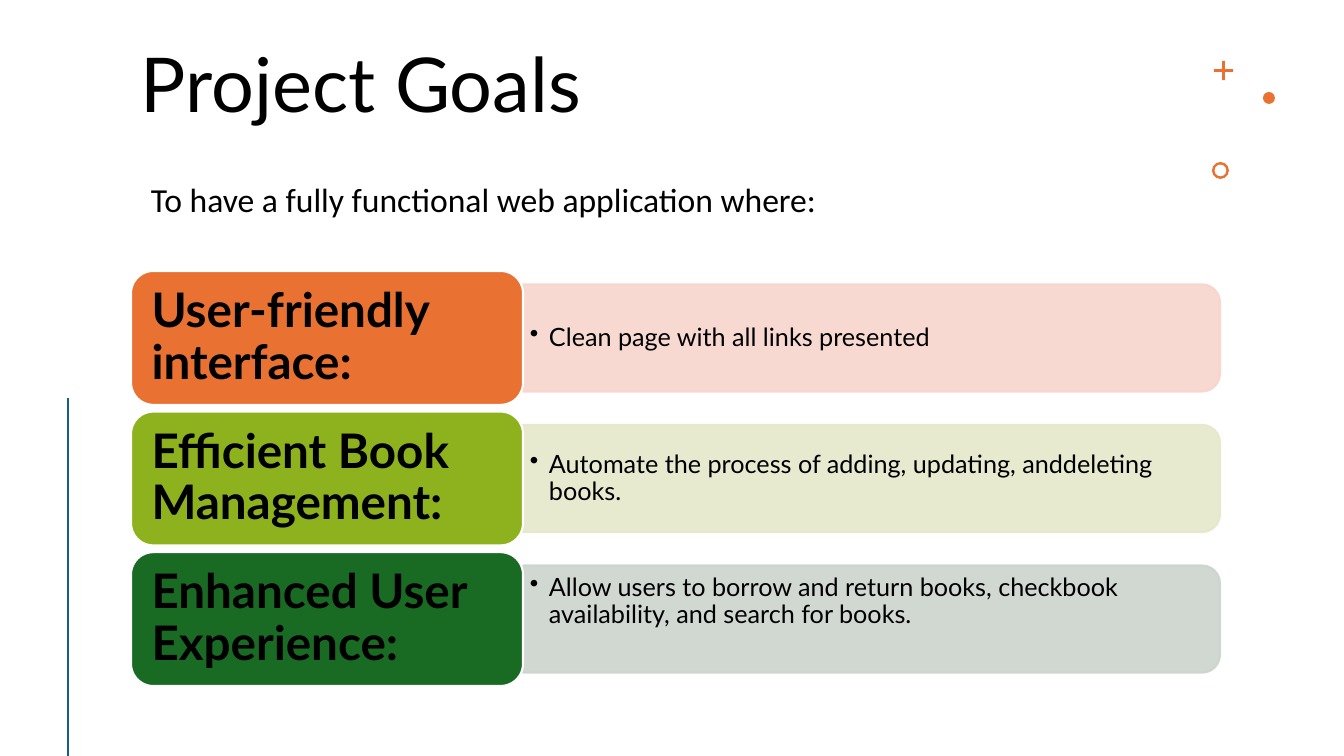
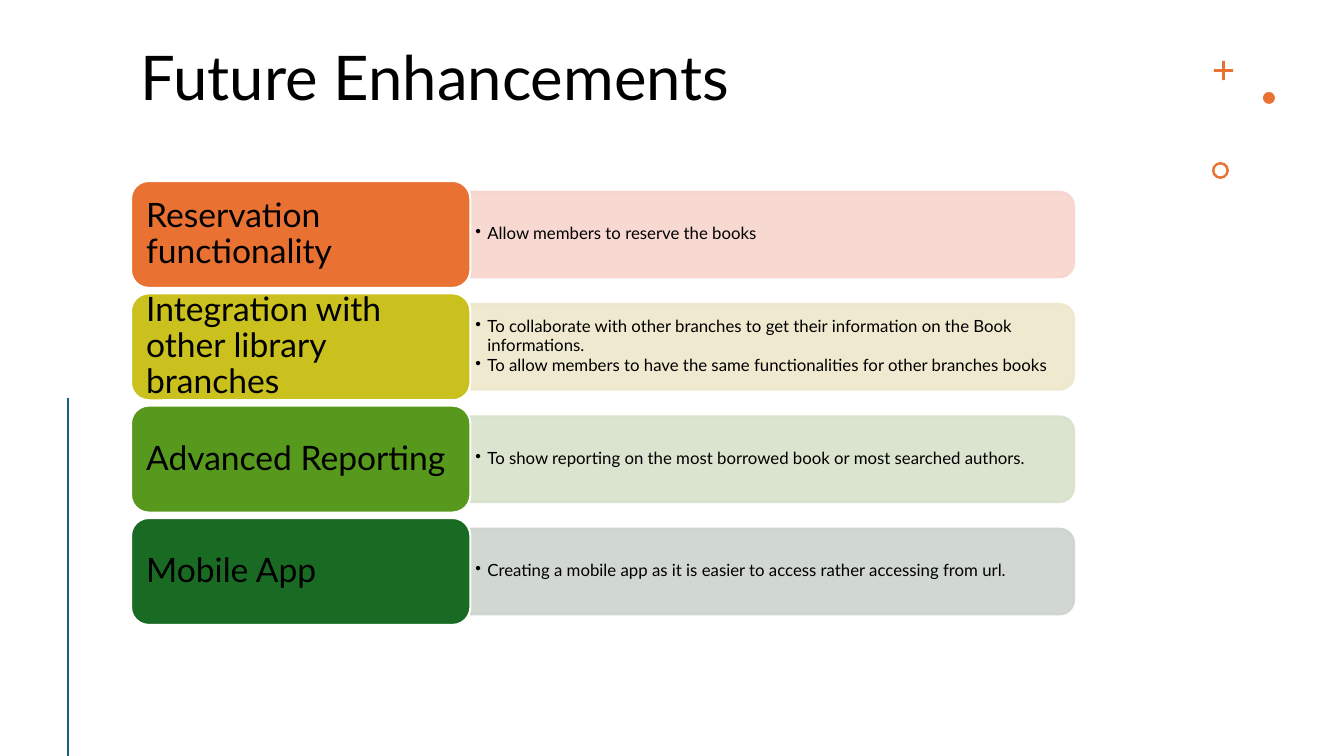
from lxml import etree
from pptx import Presentation
from pptx import util as u
from pptx.dml.color import RGBColor
from pptx.enum import shapes, text
from pptx.oxml import ns

WIDE, HIGH = 1344, 756
SCALE = 12192000 / WIDE
FONT = "Lato"
BLACK, WHITE, ACCENT, RULE = "000000", "FFFFFF", "E97132", "156082"
GREEN, MIST = "196B24", "CCD4CD"
KIND = shapes.MSO_SHAPE
MID, TOP = text.MSO_ANCHOR.MIDDLE, text.MSO_ANCHOR.TOP


def px(n):
    return u.Emu(round(n * SCALE))


def rgb(code):
    return RGBColor.from_string(code)


def fade(fmt, share):
    """Make a solid fill partly transparent."""
    color = fmt._xPr.find(".//" + ns.qn("a:srgbClr"))
    etree.SubElement(color, ns.qn("a:alpha"), val=str(share * 1000))


def shape(slide, kind, box, fill, line=None, width=1.5):
    item = slide.shapes.add_shape(kind, *map(px, box))
    item.shadow.inherit = False
    item.fill.solid()
    item.fill.fore_color.rgb = rgb(fill)
    if line:
        item.line.color.rgb = rgb(line)
        item.line.width = u.Pt(width)
    else:
        item.line.fill.background()
    return item


def say(item, lines, size, font=FONT, bold=False, anchor=TOP,
        pad=(10, 5), lead=0.9, after=0, hang=0):
    """Fill a shape with paragraphs; hang gives bullets of that indent."""
    frame = item.text_frame
    frame.word_wrap = True
    frame.vertical_anchor = anchor
    frame.margin_left = frame.margin_right = px(pad[0])
    frame.margin_top = frame.margin_bottom = px(pad[1])
    for i, line in enumerate(lines):
        para = frame.add_paragraph() if i else frame.paragraphs[0]
        para.alignment = text.PP_ALIGN.LEFT
        para.line_spacing = lead
        para.space_after = u.Pt(after)
        if hang:
            props = para._p.get_or_add_pPr()
            props.set("marL", str(px(hang)))
            props.set("indent", str(-px(hang)))
            etree.SubElement(props, ns.qn("a:buChar"), char="•")
        run = para.add_run()
        run.text = line
        run.font.name = font
        run.font.size = u.Pt(size)
        run.font.bold = bold
        run.font.color.rgb = rgb(BLACK)


def note(slide, box, lines, size, **style):
    say(slide.shapes.add_textbox(*map(px, box)), lines, size, **style)


def marks(slide, x, y):
    """Plus, dot and ring in the top right corner."""
    plus = shape(slide, KIND.CROSS, (x + 2, y, 19, 19), ACCENT)
    plus.adjustments[0] = 0.43
    shape(slide, KIND.OVAL, (x + 51, y + 31, 12, 12), ACCENT)
    ring = shape(slide, KIND.DONUT, (x, y + 101, 17, 17), ACCENT)
    ring.adjustments[0] = 0.15


def base(deck, title, size):
    """Start a slide with the shared title, marks and side rule."""
    slide = deck.slides.add_slide(deck.slide_layouts[6])
    note(slide, (131, 42, 1031, 132), [title], size)
    marks(slide, 1212, 61)
    rule = slide.shapes.add_connector(
        shapes.MSO_CONNECTOR.STRAIGHT, px(68), px(398), px(68), px(HIGH))
    rule.line.color.rgb = rgb(RULE)
    rule.line.width = u.Pt(2)
    etree.SubElement(rule._element.spPr, ns.qn("a:effectLst"))
    return slide


def panel(slide, box, tint, lines, size, anchor, pad, hang):
    """Pale bar, rounded on its right end, with bullets."""
    x, y, w, h = box
    turned = (x + (w - h) / 2, y + (h - w) / 2, h, w)
    bar = shape(slide, KIND.ROUND_2_SAME_RECTANGLE, turned, tint, tint)
    bar.rotation = 90
    fade(bar.fill, 90)
    fade(bar.line.fill, 90)
    note(slide, (x, y + 5, w - 5, h - 10), lines, size, anchor=anchor,
         pad=pad, after=size * 0.15, hang=hang)


def stack(slide, box, rows, sizes, bold, inset, pad, hang):
    """Rows of a label and its panel, spread evenly over the box."""
    x, y, w, h = box
    tall = h / (len(rows) * 1.05 - 0.05)
    head = w * 0.36
    for i, (name, fill, tint, lines, anchor) in enumerate(rows):
        top = y + i * tall * 1.05
        panel(slide, (x + head, top + tall * 0.1, w - head, tall * 0.8),
              tint, lines, sizes[1], anchor, pad, hang)
        label = shape(slide, KIND.ROUNDED_RECTANGLE, (x, top, head, tall),
                      fill, WHITE)
        say(label, [name], sizes[0], bold=bold, anchor=MID, pad=inset)


def goals(deck):
    slide = base(deck, "Project Goals", 54)
    rows = [
        ("User-friendly interface:", ACCENT, "F7D5CE",
         ["Clean page with all links presented"], MID),
        ("Efficient Book Management:", "8EB21E", "E5E8CA",
         ["Automate the process of adding, updating, anddeleting books."],
         MID),
        ("Enhanced User Experience:", GREEN, MIST,
         ["Allow users to borrow and return books, checkbook availability, "
          "and search for books."], TOP),
    ]
    stack(slide, (131, 271, 1089, 415), rows, (34, 18), True,
          (14, 7), (7, 4), 19)
    note(slide, (141, 174, 950, 50),
         ["To have a fully functional web application where:"], 24,
         font="Calibri", lead=1.0)


def plans(deck):
    slide = base(deck, "Future Enhancements", 44)
    rows = [
        ("Reservation functionality", ACCENT, "F7D5CE",
         ["Allow members to reserve the books"], MID),
        ("Integration with other library branches", "CBC11E", "EEE7CB",
         ["To collaborate with other branches to get their information on "
          "the Book informations.",
          "To allow members to have the same functionalities for other "
          "branches books"], MID),
        ("Advanced Reporting", "56991D", "D8E2CA",
         ["To show reporting on the most borrowed book or most searched "
          "authors."], MID),
        ("Mobile App", GREEN, MIST,
         ["Creating a mobile app as it is easier to access rather accessing "
          "from url."], MID),
    ]
    stack(slide, (131, 181, 943, 444), rows, (24, 12), False,
          (10, 5), (5, 3), 12)


def main():
    deck = Presentation()
    deck.slide_width, deck.slide_height = px(WIDE), px(HIGH)
    goals(deck)
    plans(deck)
    deck.save("out.pptx")


if __name__ == "__main__":
    main()
